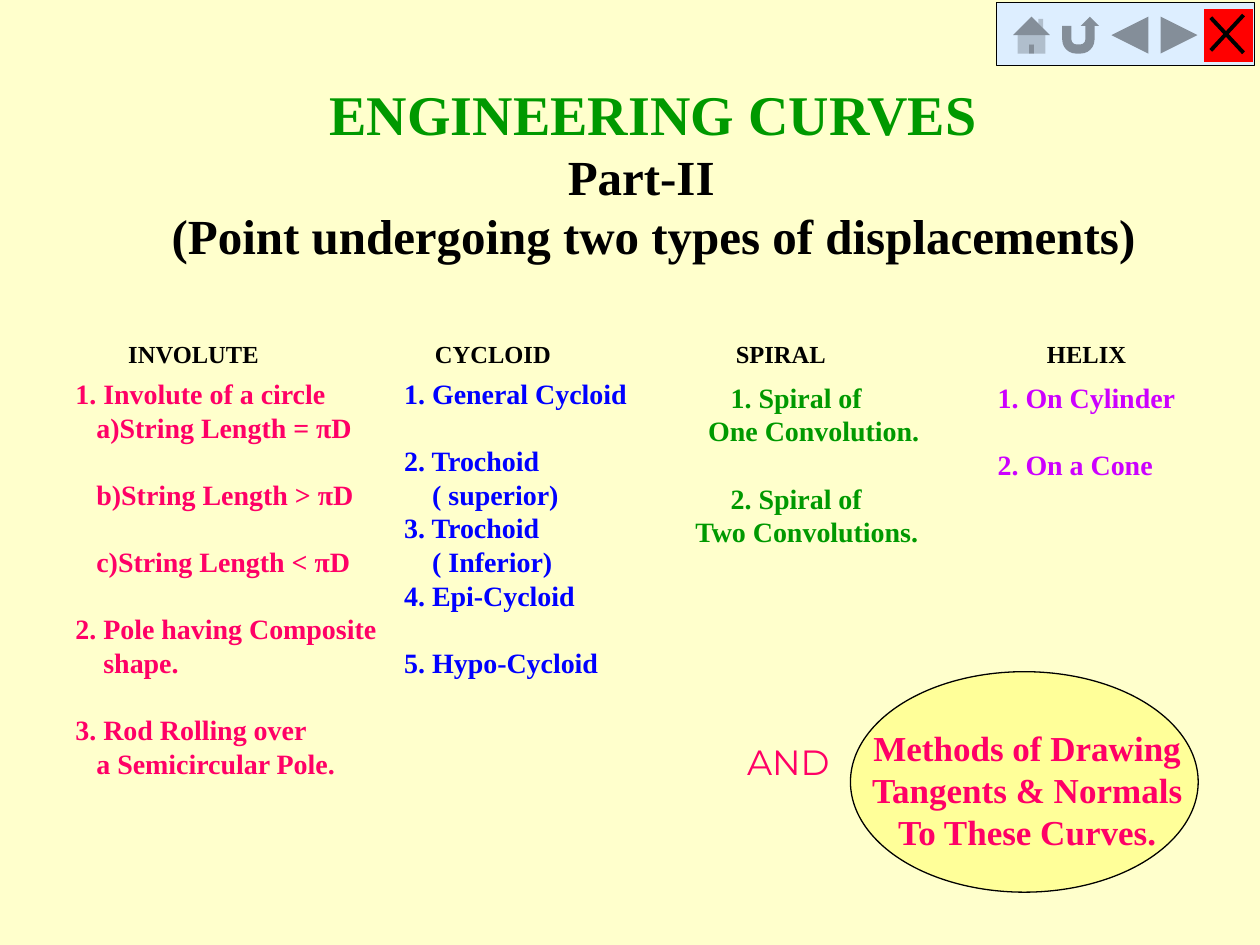
from dataclasses import dataclass

from lxml import etree
from pptx import Presentation
from pptx.dml.color import RGBColor
from pptx.enum import shapes, text
from pptx.oxml import ns
from pptx.util import Pt

SERIF = "Times New Roman"
BLACK, GREEN, PINK, BLUE, VIOLET = "000000", "009900", "FF0066", "0000FF", "CC00FF"
LINE_RATIO = 1.2
LEFT, CENTER = text.PP_ALIGN.LEFT, text.PP_ALIGN.CENTER
BUTTON = shapes.MSO_SHAPE


@dataclass
class Line:
    words: str
    indent: float = 0
    right_indent: float = 0
    gap: bool = False  # one free line above
    size: float = 16
    color: str = ""  # empty: the colour of the block


@dataclass
class Block:
    left: float
    top: float
    width: float
    height: float
    color: str
    lines: list[Line]
    align: text.PP_ALIGN = LEFT
    font: str = SERIF
    tabs: tuple[float, ...] = ()


def rgb(color: str) -> RGBColor:
    return RGBColor.from_string(color)


def add_tabs(paragraph, stops: tuple[float, ...]) -> None:
    tab_list = etree.SubElement(paragraph._p.get_or_add_pPr(), ns.qn("a:tabLst"))
    for stop in stops:
        etree.SubElement(tab_list, ns.qn("a:tab"), pos=str(int(Pt(stop))), algn="l")


def add_block(container, block: Block) -> None:
    box = container.add_textbox(Pt(block.left), Pt(block.top), Pt(block.width), Pt(block.height))
    frame = box.text_frame
    frame.word_wrap = True
    for number, line in enumerate(block.lines):
        paragraph = frame.add_paragraph() if number else frame.paragraphs[0]
        paragraph.alignment = block.align
        if block.font == SERIF:
            paragraph.line_spacing = Pt(line.size * LINE_RATIO)
        if line.gap:
            paragraph.space_before = Pt(line.size * LINE_RATIO)
        properties = paragraph._p.get_or_add_pPr()
        properties.set("marL", str(int(Pt(line.indent))))
        properties.set("marR", str(int(Pt(line.right_indent))))
        if block.tabs:
            add_tabs(paragraph, block.tabs)
        run = paragraph.add_run()
        run.text = line.words
        run.font.name = block.font
        run.font.size = Pt(line.size)
        run.font.bold = block.font == SERIF
        run.font.color.rgb = rgb(line.color or block.color)


def add_figure(container, kind, left: float, top: float, width: float, height: float,
               fill: str, line_width: float = 0) -> None:
    figure = container.add_shape(kind, Pt(left), Pt(top), Pt(width), Pt(height))
    figure.shadow.inherit = False
    figure.fill.solid()
    figure.fill.fore_color.rgb = rgb(fill)
    if line_width:
        figure.line.color.rgb = rgb(BLACK)
        figure.line.width = Pt(line_width)
    else:
        figure.line.fill.background()


def add_stroke(container, x1: float, y1: float, x2: float, y2: float) -> None:
    stroke = container.add_connector(shapes.MSO_CONNECTOR.STRAIGHT, Pt(x1), Pt(y1), Pt(x2), Pt(y2))
    stroke.line.color.rgb = rgb(BLACK)
    stroke.line.width = Pt(2.25)
    etree.SubElement(stroke._element.spPr, ns.qn("a:effectLst"))


HEADINGS = Block(66.2, 190.1, 617.8, 23.8, BLACK,
                 [Line("INVOLUTE\tCYCLOID\tSPIRAL\tHELIX", size=14)],
                 tabs=(175.2, 347.2, 525))

TITLE = Block(80, 41.8, 586.8, 113, BLACK, [
    Line("ENGINEERING CURVES", size=32, color=GREEN),
    Line("Part-II", right_indent=14, size=28),
    Line("(Point undergoing two types of displacements)", size=28),
], CENTER)

INVOLUTES = Block(36, 211.7, 195, 238, PINK, [
    Line("1. Involute of a circle"),
    Line("a)String Length = πD", 12),
    Line("b)String Length > πD", 12, gap=True),
    Line("c)String Length < πD", 12, gap=True),
    Line("2. Pole having Composite", gap=True),
    Line("shape.", 16),
    Line("3. Rod Rolling over", gap=True),
    Line("a Semicircular Pole.", 12),
])

CYCLOIDS = Block(223.9, 211.7, 160, 219, BLUE, [
    Line("1. General Cycloid"),
    Line("2. Trochoid", gap=True),
    Line("( superior)", 16),
    Line("3. Trochoid"),
    Line("( Inferior)", 16),
    Line("4. Epi-Cycloid"),
    Line("5. Hypo-Cycloid", gap=True),
])

SPIRALS = Block(371, 213.8, 168, 103.7, GREEN, [
    Line("1. Spiral of"),
    Line("One Convolution.", 20),
    Line("2. Spiral of", gap=True),
    Line("Two Convolutions.", 12),
], CENTER)

HELICES = Block(563, 213.8, 139, 84, VIOLET, [
    Line("1. On Cylinder"),
    Line("2. On a Cone", gap=True),
])

METHODS = Block(484, 411.8, 206, 79.2, PINK, [
    Line("Methods of Drawing", size=20),
    Line("Tangents & Normals", size=20),
    Line("To These Curves.", size=20),
], CENTER)

AND = Block(419.8, 419.8, 70, 31, PINK, [Line("AND", size=20)], font="Montserrat")


def main() -> None:
    deck = Presentation()
    deck.slide_width, deck.slide_height = Pt(720), Pt(540)
    slide = deck.slides.add_slide(deck.slide_layouts[6])
    slide.background.fill.solid()
    slide.background.fill.fore_color.rgb = rgb("FFFFCC")

    # Title and the four families of curves
    for block in (HEADINGS, TITLE, INVOLUTES, CYCLOIDS, SPIRALS, HELICES):
        add_block(slide.shapes, block)

    # Methods in the ellipse
    methods = slide.shapes.add_group_shape().shapes
    add_figure(methods, BUTTON.OVAL, 486, 383.8, 198.7, 126, "FFFF99", 0.75)
    add_block(methods, METHODS)
    add_block(slide.shapes, AND)

    # Navigation bar
    navigation = slide.shapes.add_group_shape().shapes
    add_figure(navigation, BUTTON.ACTION_BUTTON_CUSTOM, 569.5, 1.4, 147.6, 36, "DDEEFF", 0.5)
    buttons = (
        (BUTTON.ACTION_BUTTON_HOME, "DDEEFF"),
        (BUTTON.ACTION_BUTTON_RETURN, "DDEEFF"),
        (BUTTON.ACTION_BUTTON_BACK_OR_PREVIOUS, "DDEEFF"),
        (BUTTON.ACTION_BUTTON_FORWARD_OR_NEXT, "DDEEFF"),
        (BUTTON.ACTION_BUTTON_CUSTOM, "FF0000"),
    )
    for position, (kind, fill) in enumerate(buttons):
        add_figure(navigation, kind, 575.4 + 28.1 * position, 5, 28.1, 30.2, fill)

    # Closing cross
    add_stroke(navigation, 691.9, 10.1, 710.6, 30.2)
    add_stroke(navigation, 710.6, 8.6, 691.9, 28.8)

    deck.save("out.pptx")


if __name__ == "__main__":
    main()
